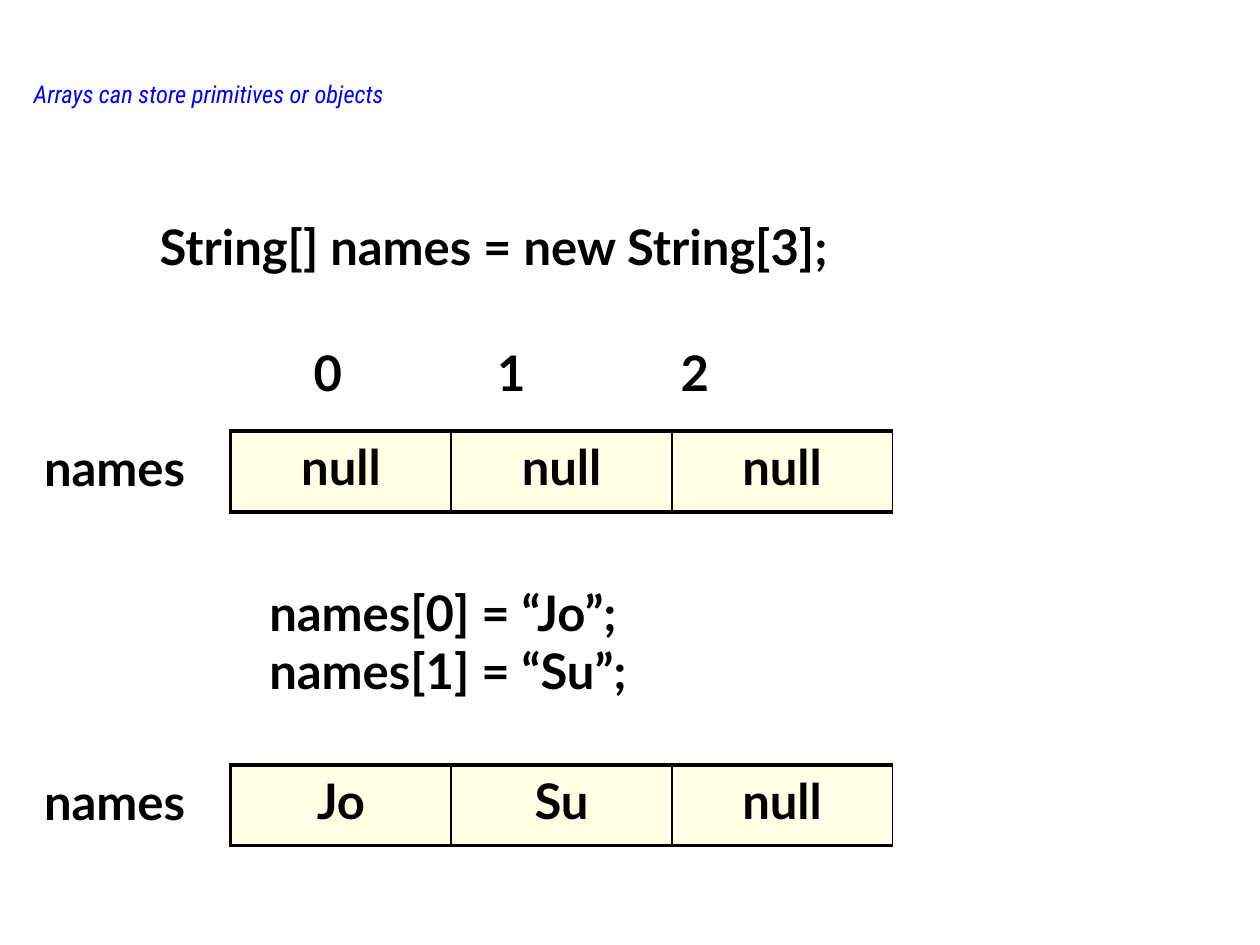
import lxml.etree
import pptx
import pptx.dml.color
import pptx.enum.text
import pptx.oxml.ns
import pptx.util

Cm = pptx.util.Cm
Pt = pptx.util.Pt
qn = pptx.oxml.ns.qn
COLORS = {"ink": "000000", "title": "0000FF", "cell": "FFFFCC", "paper": "FFFFFF"}


def write(para, text, font="Lato", size=28, color="ink", bold=True, italic=False):
    """Add a formatted run to a paragraph."""
    span = para.add_run()
    span.text = text
    span.font.name = font
    span.font.size = Pt(size)
    span.font.bold = bold
    span.font.italic = italic
    span.font.color.rgb = pptx.dml.color.RGBColor.from_string(COLORS[color])


def add_text(page, box, lines, **style):
    """Place a wrapped text box and return its first paragraph."""
    frame = page.shapes.add_textbox(*map(Cm, box)).text_frame
    frame.word_wrap = True
    for number, line in enumerate(lines):
        para = frame.add_paragraph() if number else frame.paragraphs[0]
        write(para, line, **style)
    return frame.paragraphs[0]


def set_border(cell, side, width):
    """Draw one solid edge of a table cell."""
    line = lxml.etree.SubElement(cell._tc.get_or_add_tcPr(), qn(f"a:ln{side}"), w=str(Pt(width)))
    fill = lxml.etree.SubElement(line, qn("a:solidFill"))
    lxml.etree.SubElement(fill, qn("a:srgbClr"), val=COLORS["ink"])


def fill_cell(cell):
    """Give a cell its half transparent fill."""
    cell.fill.solid()
    cell.fill.fore_color.rgb = pptx.dml.color.RGBColor.from_string(COLORS["cell"])
    color = cell._tc.tcPr.find(".//" + qn("a:solidFill") + "[last()]/../" + qn("a:solidFill") + "/" + qn("a:srgbClr"))
    lxml.etree.SubElement(color, qn("a:alpha"), val="50000")


def add_array(page, box, label, values):
    """Draw a labelled array as a one-row table inside the box."""
    left, top, width, height = box
    label_width = 4.01
    add_text(page, (left, top, 3.81, 1.45), [label])
    table = page.shapes.add_table(
        1, len(values), Cm(left + label_width), Cm(top), Cm(width - label_width), Cm(height)
    ).table
    table.first_row = False
    table.horz_banding = False
    for number, value in enumerate(values):
        cell = table.cell(0, number)
        para = cell.text_frame.paragraphs[0]
        para.alignment = pptx.enum.text.PP_ALIGN.CENTER
        write(para, value)
        widths = {"L": 1 if number else 2.25, "R": 1, "T": 2.25, "B": 2.25}
        fill_cell(cell)
        fill = cell._tc.tcPr.find(qn("a:solidFill"))
        for side, width_pt in widths.items():
            set_border(cell, side, width_pt)
        cell._tc.tcPr.append(fill)


def add_indices(page, box, count, first, step):
    """Write the index numbers on evenly spaced centred tab stops."""
    para = add_text(page, box, ["".join(f"\t{index}" for index in range(count))])
    tabs = lxml.etree.SubElement(para._p.get_or_add_pPr(), qn("a:tabLst"))
    for index in range(count):
        lxml.etree.SubElement(tabs, qn("a:tab"), pos=str(Cm(first + index * step)), algn="ctr")


def build_slide(page):
    """Place the title, the code and both states of the array."""
    page.background.fill.solid()
    page.background.fill.fore_color.rgb = pptx.dml.color.RGBColor.from_string(COLORS["paper"])
    add_text(page, (0.43, 1.47, 23.06, 1.9), ["Arrays can store primitives or objects"],
             font="Roboto Condensed", size=14, color="title", bold=False, italic=True)
    add_text(page, (2.97, 4.24, 17.12, 1.45), ["String[] names = new String[3];"])
    add_indices(page, (5.03, 6.78, 18.87, 1.45), 3, 1.33, 3.7)
    add_array(page, (0.64, 8.69, 17.35, 1.63), "names", ["null", "null", "null"])
    add_text(page, (5.18, 11.61, 9.65, 2.64), ["names[0] = “Jo”;", "names[1] = “Su”;"])
    add_array(page, (0.64, 15.42, 17.35, 1.63), "names", ["Jo", "Su", "null"])


def main():
    """Create and save the deck."""
    deck = pptx.Presentation()
    deck.slide_width = Cm(25.4)
    deck.slide_height = Cm(19.05)
    build_slide(deck.slides.add_slide(deck.slide_layouts[6]))
    deck.save("out.pptx")


if __name__ == "__main__":
    main()
